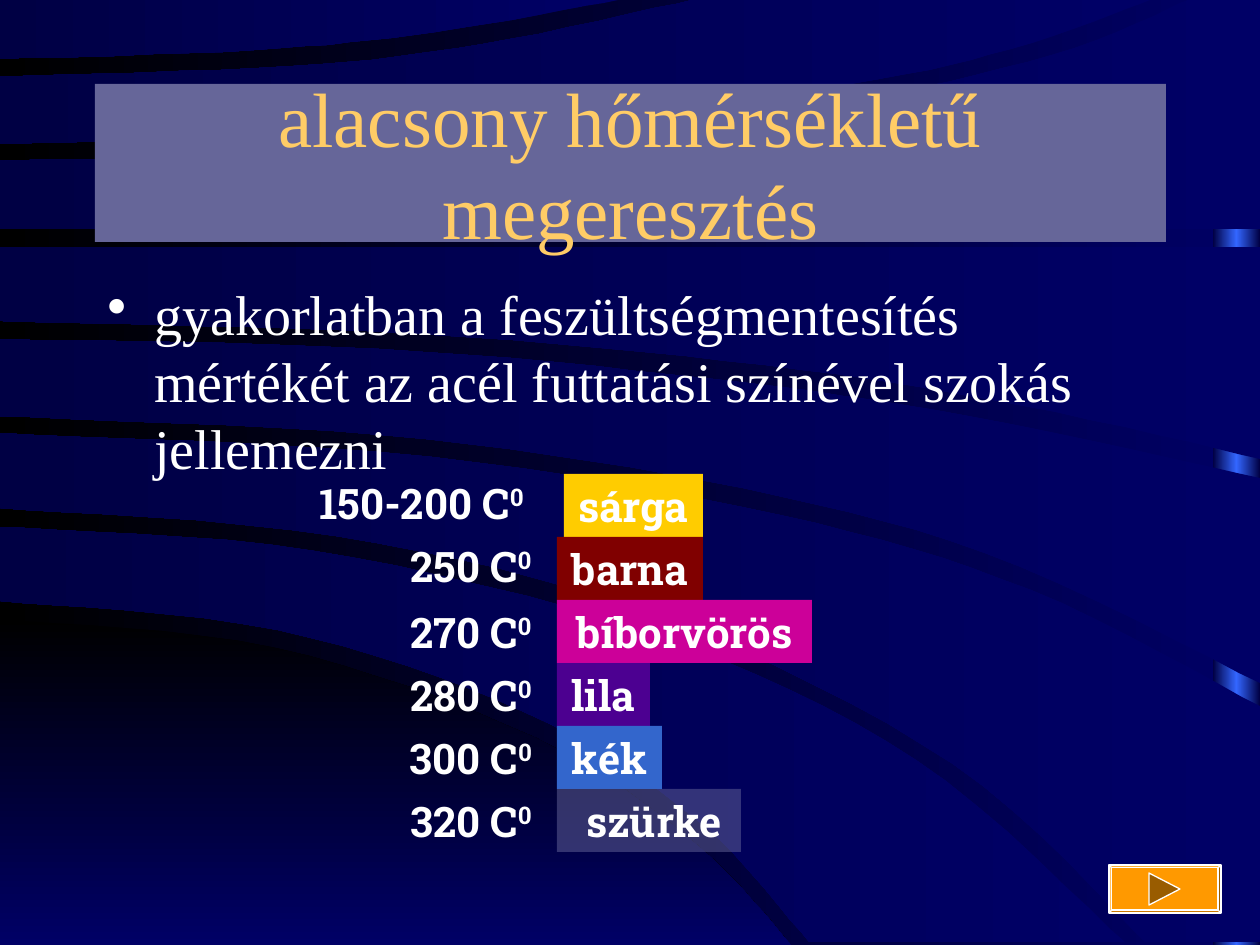
from copy import deepcopy
from dataclasses import dataclass

from lxml.etree import SubElement
from pptx import Presentation
from pptx.dml.color import RGBColor
from pptx.enum.shapes import MSO_SHAPE as Shape
from pptx.enum.text import MSO_ANCHOR as Anchor, MSO_AUTO_SIZE as AutoSize, PP_ALIGN as Align
from pptx.oxml.ns import qn
from pptx.util import Emu, Pt

SCALE = 914400 / 126
WIDTH, HEIGHT = 1260, 945


@dataclass(frozen=True)
class Theme:
    """Colours, fonts and type sizes of the slide."""
    navy: str = "000066"
    deep: str = "000044"
    black: str = "000000"
    glow: str = "3366FF"
    panel: str = "666699"
    gold: str = "FFCC66"
    white: str = "FFFFFF"
    button: str = "FF9900"
    arrow: str = "995C00"
    serif: str = "Times New Roman"
    slab: str = "Roboto Slab"
    title_size: int = 44
    body_size: int = 32
    label_size: int = 24


THEME = Theme()

CORNER_EDGE = [(0, 619), (275, 648), (536, 738), (697, 845), (791, HEIGHT)]

BANDS = [
    ([(0, 527), (314, 551), (649, 633), (916, 760), (1125, 942)], [],
     [(0, 601), (278, 630), (524, 712), (697, 820), (809, 942)]),
    ([(0, 433), (432, 457), (780, 515), (1031, 590), (WIDTH, 706)], [(WIDTH, 942)],
     [(0, 508), (336, 536), (656, 616), (953, 764), (1145, 942)]),
    ([(0, 339), (379, 349), (713, 379), (968, 416), (WIDTH, 478)], [],
     [(0, 416), (382, 435), (706, 481), (985, 553), (WIDTH, 683)]),
    ([(0, 247), (WIDTH, 247)], [],
     [(0, 321), (418, 334), (765, 365), (1024, 406), (WIDTH, 459)]),
    ([(0, 161), (415, 149), (811, 107), (1052, 55), (1188, 0)], [(WIDTH, 0)],
     [(0, 229), (WIDTH, 229)]),
    ([(0, 77), (294, 66), (483, 44), (692, 0)], [],
     [(0, 144), (430, 130), (816, 89), (1011, 49), (1150, 0)]),
    ([(0, 0), (618, 0)], [],
     [(0, 59), (255, 50), (436, 32), (618, 0)]),
]

TEMPERS = [
    ("150-200 C", 287, -3, "sárga", 564, 139, "FFCC00", 100),
    ("250 C", 386, -3, "barna", 557, 146, "800000", 100),
    ("270 C", 386, 0, "bíborvörös", 557, 255, "CC0099", 100),
    ("280 C", 386, 0, "lila", 557, 93, "9900CC", 50),
    ("300 C", 386, 0, "kék", 557, 105, "3366CC", 100),
    ("320 C", 386, 0, " szürke", 557, 184, "666699", 50),
]
LABEL_RIGHT, ROW_TOP, ROW_HEIGHT = 556, 474, 63


def px(*lengths):
    """Turn px lengths into a list of EMU."""
    return [Emu(round(length * SCALE)) for length in lengths]


def spline(a, b, c, d, t):
    """Give one coordinate of a Catmull-Rom curve between b and c."""
    return b + t * (c - a + t * (2 * a - 5 * b + 4 * c - d + t * (3 * (b - c) + d - a))) / 2


def smooth_curve(knots, steps=8):
    """Sample a smooth curve that runs through the knots."""
    if len(knots) == 2:
        return knots
    padded = [knots[0], *knots, knots[-1]]
    points = [
        tuple(spline(*axis, step / steps) for axis in zip(*padded[index:index + 4]))
        for index in range(len(knots) - 1)
        for step in range(steps)
    ]
    return points + [knots[-1]]


def paint_gradient(fill, element, colors, angle=180):
    """Fill with evenly spaced gradient stops."""
    fill.gradient()
    stop_list = next(element.iter(qn("a:gsLst")))
    for _ in colors[2:]:
        stop_list.append(deepcopy(stop_list[0]))
    for index, (stop, color) in enumerate(zip(fill.gradient_stops, colors)):
        stop.position = index / (len(colors) - 1)
        stop.color.rgb = RGBColor.from_string(color)
    fill.gradient_angle = angle


def paint_solid(shape, color, opacity=100):
    """Fill with one colour, see-through below full opacity."""
    shape.fill.solid()
    shape.fill.fore_color.rgb = RGBColor.from_string(color)
    if opacity < 100:
        color_element = next(shape.element.iter(qn("a:srgbClr")))
        SubElement(color_element, qn("a:alpha"), val=str(opacity * 1000))


def add_box(slide, kind, left, top, width, height):
    """Add a preset shape without line or shadow."""
    shape = slide.shapes.add_shape(kind, *px(left, top, width, height))
    shape.shadow.inherit = False
    shape.line.fill.background()
    return shape


def add_outline(slide, points):
    """Add a closed outline without line or shadow."""
    builder = slide.shapes.build_freeform(*points[0], scale=SCALE)
    builder.add_line_segments(points[1:], close=True)
    shape = builder.convert_to_shape()
    shape.shadow.inherit = False
    shape.line.fill.background()
    return shape


def add_band(slide, upper, corners, lower, colors, angle=180):
    """Add a gradient band between two smooth edges."""
    points = smooth_curve(upper) + corners + smooth_curve(lower)[::-1]
    band = add_outline(slide, points)
    paint_gradient(band.fill, band.element, colors, angle)


def style_run(run, font_name, size, color, bold):
    """Set the font of a run."""
    run.font.name = font_name
    run.font.size = Pt(size)
    run.font.bold = bold
    run.font.color.rgb = RGBColor.from_string(color)


def write(shape, text, font_name, size, color, align, bold=False):
    """Put one styled paragraph into a shape and return it."""
    shape.text_frame.text = text
    paragraph = shape.text_frame.paragraphs[0]
    paragraph.alignment = align
    for run in paragraph.runs:
        style_run(run, font_name, size, color, bold)
    return paragraph


def write_label(shape, text, superscript=""):
    """Write a bold centred label with an optional superscript."""
    style = (THEME.slab, THEME.label_size, THEME.white)
    paragraph = write(shape, text, *style, Align.CENTER, True)
    shape.text_frame.vertical_anchor = Anchor.TOP
    shape.text_frame.word_wrap = False
    shape.text_frame.auto_size = AutoSize.SHAPE_TO_FIT_TEXT
    if superscript:
        run = paragraph.add_run()
        run.text = superscript
        style_run(run, *style, True)
        run._r.get_or_add_rPr().set("baseline", "30000")


def add_backdrop(slide):
    """Draw the gradient background and its curved bands."""
    paint_gradient(slide.background.fill, slide.element, [THEME.navy, THEME.black])
    edge = add_box(slide, Shape.RECTANGLE, 1213, 0, 47, HEIGHT)
    paint_gradient(edge.fill, edge.element, [THEME.deep, THEME.glow, THEME.deep])
    floor = [(0, HEIGHT), CORNER_EDGE[-1]]
    add_band(slide, CORNER_EDGE, [], floor, [THEME.black, THEME.navy], 270)
    for band in BANDS:
        add_band(slide, *band, [THEME.navy, THEME.deep])


def add_title(slide, text):
    """Add the title panel."""
    panel = add_box(slide, Shape.RECTANGLE, 95, 84, 1071, 158)
    paint_solid(panel, THEME.panel)
    panel.text_frame.word_wrap = True
    panel.text_frame.vertical_anchor = Anchor.MIDDLE
    write(panel, text, THEME.serif, THEME.title_size, THEME.gold, Align.CENTER)


def add_bullet(slide, text):
    """Add the bulleted statement."""
    box = slide.shapes.add_textbox(*px(95, 273, 1071, 567))
    box.text_frame.word_wrap = True
    paragraph = write(box, text, THEME.serif, THEME.body_size, THEME.white, Align.LEFT)
    properties = paragraph._p.get_or_add_pPr()
    indent = px(47)[0]
    properties.set("marL", str(indent))
    properties.set("indent", str(-indent))
    SubElement(properties, qn("a:buChar"), char="•")


def add_tempers(slide):
    """Add the temperatures beside their colour swatches."""
    for row, (degrees, label_left, shift, name, left, width, color, opacity) in enumerate(TEMPERS):
        top = ROW_TOP + row * ROW_HEIGHT
        swatch = add_box(slide, Shape.RECTANGLE, left, top, width, ROW_HEIGHT)
        paint_solid(swatch, color, opacity)
        write_label(swatch, name)
        label_box = px(label_left, top + shift, LABEL_RIGHT - label_left, ROW_HEIGHT)
        write_label(slide.shapes.add_textbox(*label_box), degrees, "0")


def add_next_button(slide):
    """Add the bevelled button with its arrow."""
    button = add_box(slide, Shape.BEVEL, 1109, 865, 112, 48)
    button.adjustments[0] = 0.06
    arrow = add_outline(slide, [(1149, 873), (1180, 889), (1149, 905)])
    for shape, color in ((button, THEME.button), (arrow, THEME.arrow)):
        paint_solid(shape, color)
        shape.line.color.rgb = RGBColor.from_string(THEME.white)
        shape.line.width = Pt(0.75)


def main():
    """Build and save the slide."""
    presentation = Presentation()
    presentation.slide_width, presentation.slide_height = px(WIDTH, HEIGHT)
    slide = presentation.slides.add_slide(presentation.slide_layouts[6])
    add_backdrop(slide)
    add_title(slide, "alacsony hőmérsékletű megeresztés")
    add_bullet(slide, "gyakorlatban a feszültségmentesítés mértékét az acél futtatási színével szokás jellemezni")
    add_tempers(slide)
    add_next_button(slide)
    presentation.save("out.pptx")


if __name__ == "__main__":
    main()
